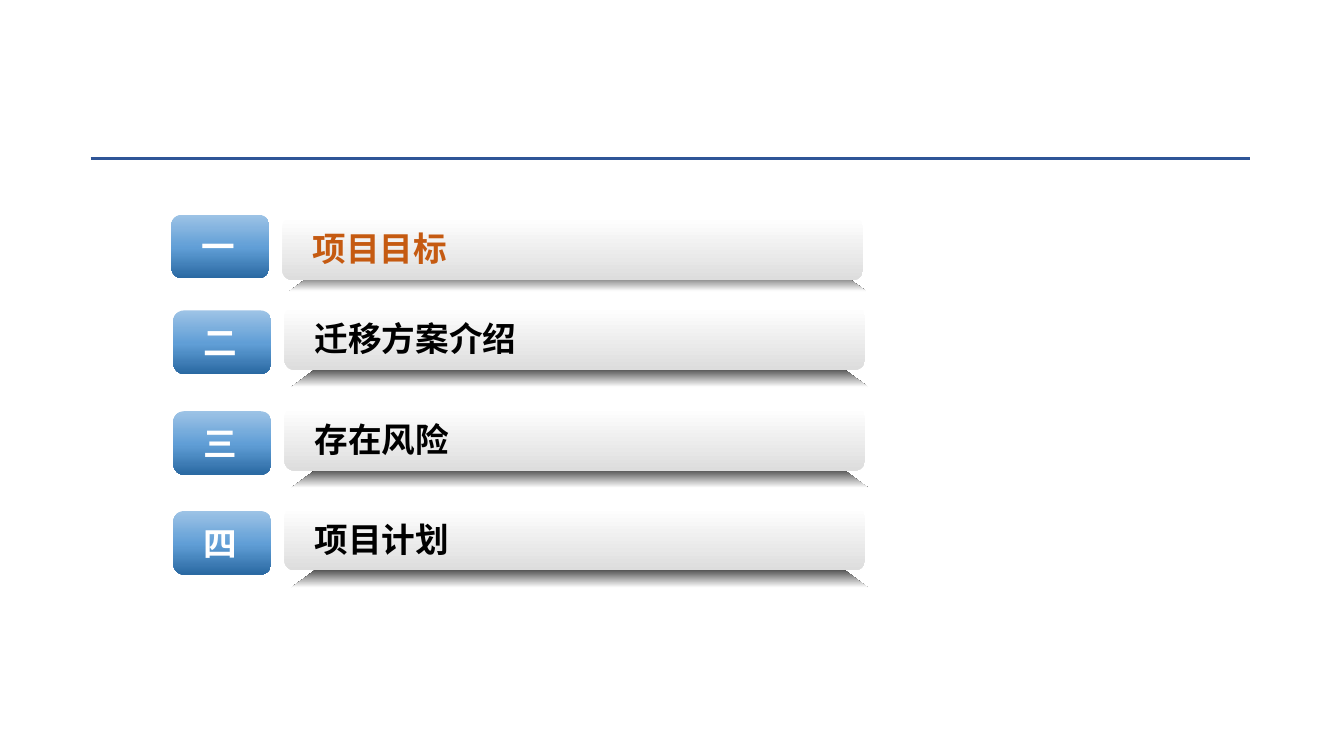
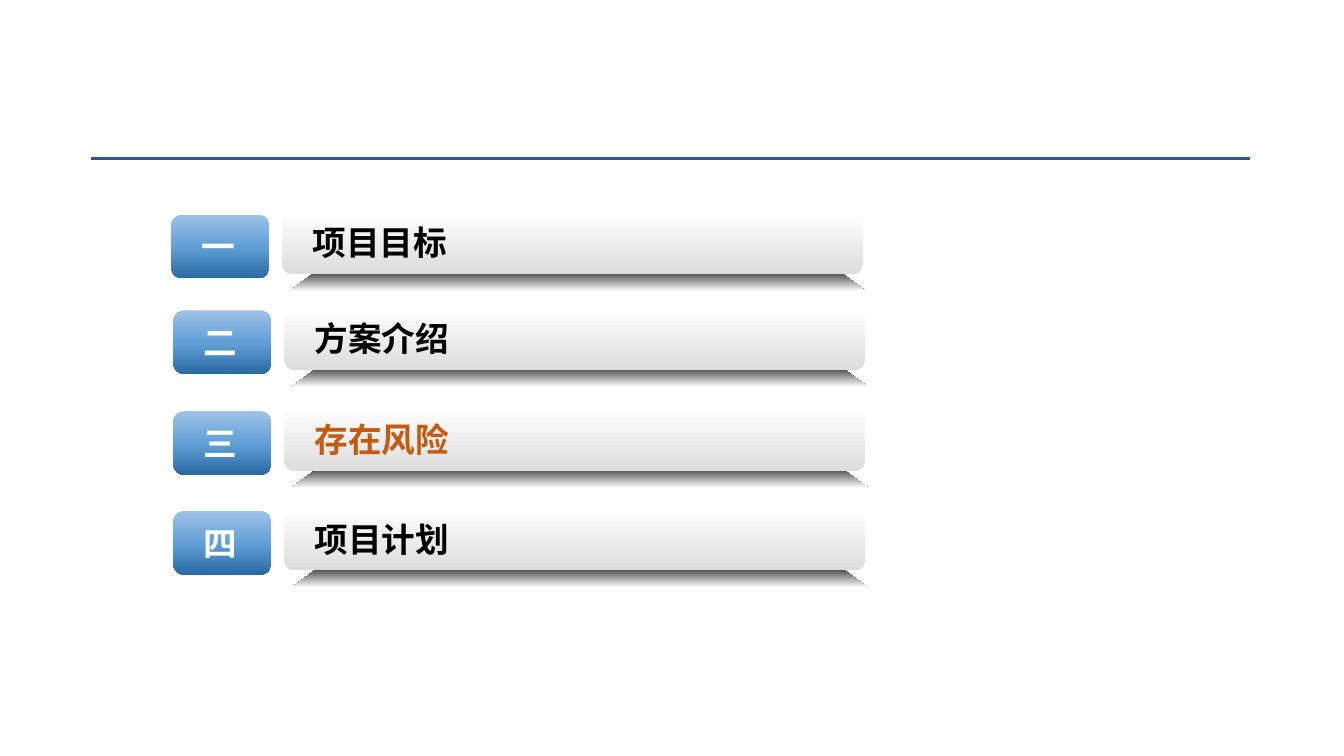
import lxml.etree
import pptx
import pptx.dml.color
import pptx.enum.shapes
import pptx.enum.text
import pptx.oxml.ns
import pptx.util

Inches = pptx.util.Inches
qn = pptx.oxml.ns.qn

FONT = "Noto Sans CJK SC"
COLORS = {
    "rule": "2F5597",
    "badge_text": "FFFFFF",
    "entry": "000000",
    "current": "C55A11",
}
GRADIENTS = {
    "badge": [(0, "9DC3E6"), (52, "609ED6"), (100, "2A69A2")],
    "bar": [(0, "FFFFFF"), (100, "DDDDDD")],
    "shade": [(0, "000000"), (100, "FFFFFF")],
}
NUMERALS = "一二三四"
ROW_ORIGINS = [(1.7, 2.13), (1.72, 3.08), (1.72, 4.08), (1.72, 5.07)]
ROW_HEIGHT = 0.63
BADGE_WIDTH = 0.97
BAR_WIDTH = 5.76
BAR_OFFSET = (1.1, -0.04)
SHADE_OFFSET = (1.17, 0.5)
SHADE_WIDTH, SHADE_HEIGHT, SHADE_SLANT = 5.72, 0.26, 0.35


def rgb(name):
    """Return the named colour."""
    return pptx.dml.color.RGBColor.from_string(COLORS[name])


def paint(shape, gradient):
    """Fill a shape from top to bottom, without outline or shadow."""
    shape.shadow.inherit = False
    shape.line.fill.background()
    shape.fill.gradient()
    shape.fill.gradient_angle = 270
    stops = shape._element.spPr.find(qn("a:gradFill")).find(qn("a:gsLst"))
    for stop in list(stops):
        stops.remove(stop)
    for percent, color in GRADIENTS[gradient]:
        stop = lxml.etree.SubElement(stops, qn("a:gs"), pos=str(percent * 1000))
        lxml.etree.SubElement(stop, qn("a:srgbClr"), val=color)


def write_text(shape, text, color, size=24, bold=True, inset=0.27):
    """Write one left-aligned, vertically centred line in a shape."""
    frame = shape.text_frame
    frame.word_wrap = True
    frame.margin_left = Inches(inset)
    frame.vertical_anchor = pptx.enum.text.MSO_ANCHOR.MIDDLE
    paragraph = frame.paragraphs[0]
    paragraph.alignment = pptx.enum.text.PP_ALIGN.LEFT
    run = paragraph.add_run()
    run.text = text
    run.font.size = pptx.util.Pt(size)
    run.font.bold = bold
    run.font.color.rgb = rgb(color)
    run.font.name = FONT
    properties = run._r.get_or_add_rPr()
    lxml.etree.SubElement(properties, qn("a:ea"), typeface=FONT)


def add_panel(shapes, left, top, width, gradient, text, color):
    """Add a rounded panel holding one line of text."""
    panel = shapes.add_shape(
        pptx.enum.shapes.MSO_SHAPE.ROUNDED_RECTANGLE,
        Inches(left), Inches(top), Inches(width), Inches(ROW_HEIGHT),
    )
    panel.adjustments[0] = 0.167
    paint(panel, gradient)
    write_text(panel, text, color)


def add_shade(shapes, left, top):
    """Add the slanted shade that lies under a bar."""
    right, bottom = left + SHADE_WIDTH, top + SHADE_HEIGHT
    corners = [
        (right - SHADE_SLANT, top),
        (left + SHADE_SLANT, top),
        (left, bottom),
    ]
    builder = shapes.build_freeform(Inches(right), Inches(bottom))
    builder.add_line_segments([(Inches(x), Inches(y)) for x, y in corners])
    paint(builder.convert_to_shape(), "shade")


def add_row(slide, origin, numeral, entry, color, bar_drop):
    """Add one grouped agenda row: badge, shade and bar."""
    left, top = origin
    shapes = slide.shapes.add_group_shape().shapes
    add_panel(shapes, left, top, BADGE_WIDTH, "badge", numeral, "badge_text")
    add_shade(shapes, left + SHADE_OFFSET[0], top + SHADE_OFFSET[1])
    add_panel(
        shapes, left + BAR_OFFSET[0], top + BAR_OFFSET[1] + bar_drop,
        BAR_WIDTH, "bar", entry, color,
    )


def add_agenda(presentation, layout, entries, current, current_drop=0):
    """Add an agenda slide with its current entry highlighted."""
    slide = presentation.slides.add_slide(layout)
    rows = zip(ROW_ORIGINS, NUMERALS, entries)
    for index, (origin, numeral, entry) in enumerate(rows):
        is_current = index == current
        color = "current" if is_current else "entry"
        drop = current_drop if is_current else 0
        add_row(slide, origin, numeral, entry, color, drop)
    return slide


def move_rule_to_layout(slide, layout):
    """Draw the header rule and place it on the shared layout."""
    rule = slide.shapes.add_connector(
        pptx.enum.shapes.MSO_CONNECTOR.STRAIGHT,
        Inches(0.9), Inches(1.57), Inches(12.4), Inches(1.57),
    )
    rule.line.color.rgb = rgb("rule")
    rule.line.width = pptx.util.Pt(2.25)
    lxml.etree.SubElement(rule._element.spPr, qn("a:effectLst"))
    layout.shapes._spTree.append(rule._element)


def main():
    """Build and save the presentation."""
    presentation = pptx.Presentation()
    presentation.slide_width = Inches(13.33)
    presentation.slide_height = Inches(7.5)
    layout = presentation.slide_layouts[6]
    goals = add_agenda(
        presentation, layout,
        ["项目目标", "迁移方案介绍", "存在风险", "项目计划"],
        current=0, current_drop=0.06,
    )
    move_rule_to_layout(goals, layout)
    add_agenda(
        presentation, layout,
        ["项目目标", "方案介绍", "存在风险", "项目计划"],
        current=2,
    )
    presentation.save("out.pptx")


if __name__ == "__main__":
    main()
